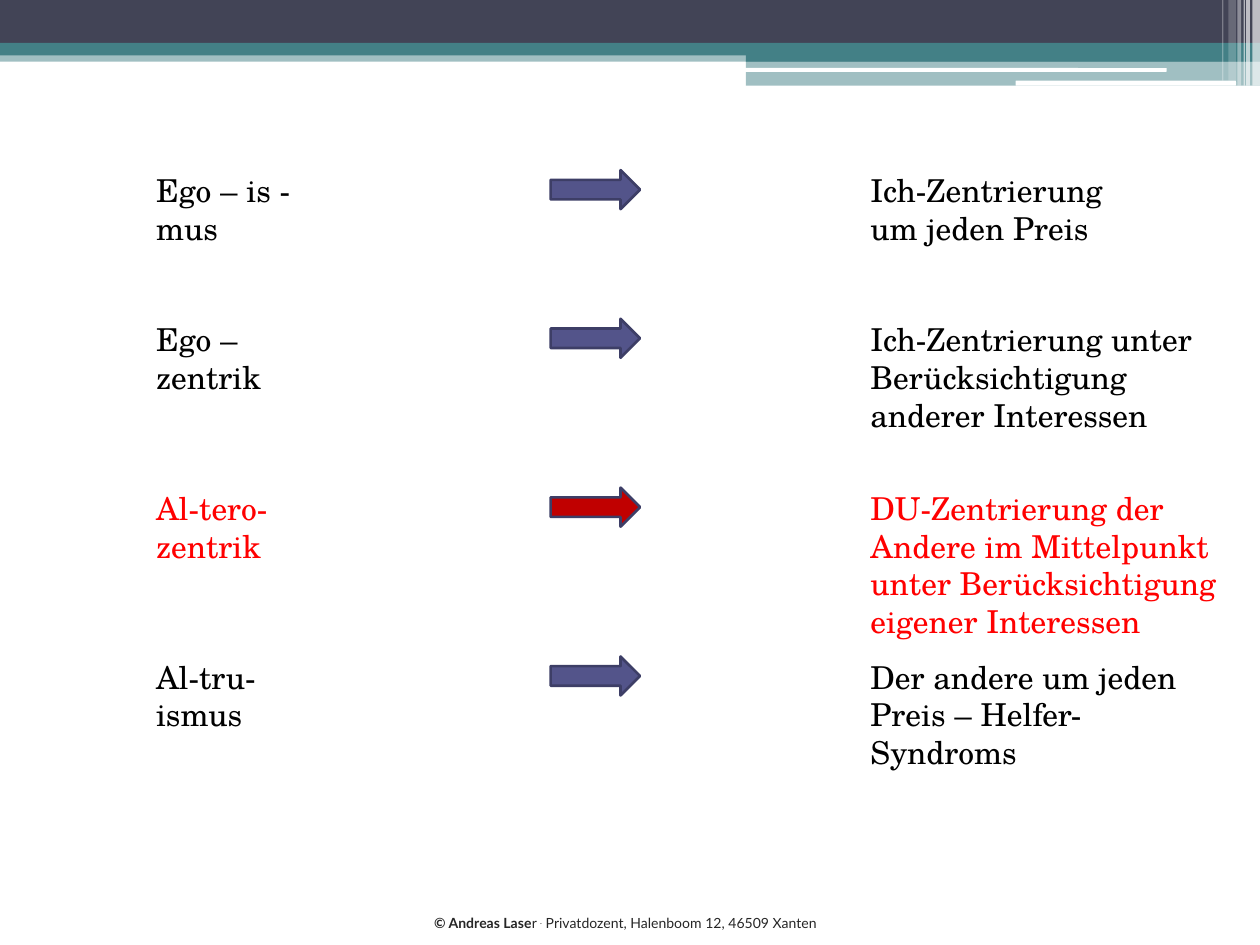
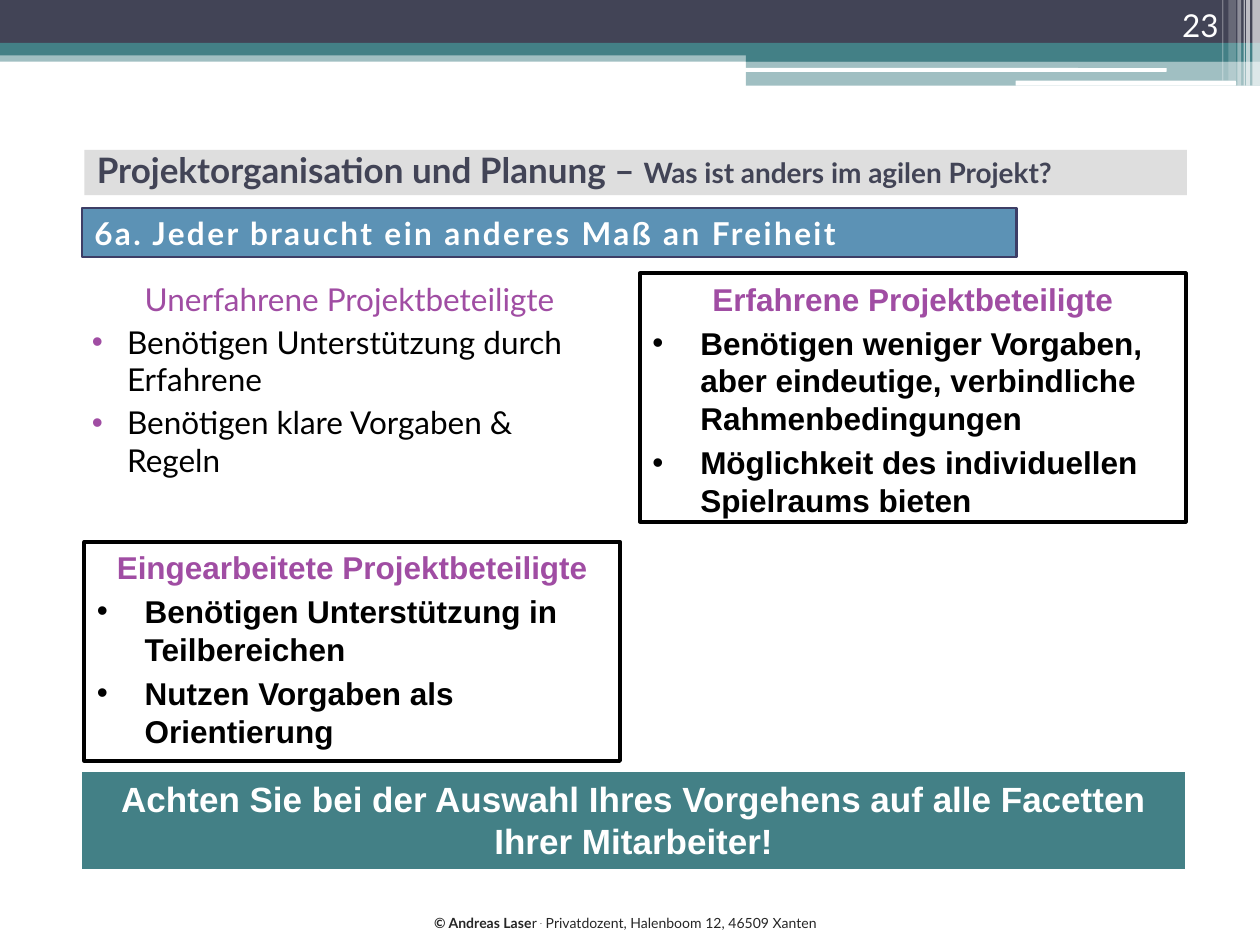
from lxml import etree
from pptx import Presentation
from pptx.dml.color import RGBColor
from pptx.enum.shapes import MSO_SHAPE
from pptx.enum.text import MSO_ANCHOR, PP_ALIGN
from pptx.oxml.ns import qn
from pptx.util import Inches, Pt

RECT = MSO_SHAPE.RECTANGLE
ROUND = MSO_SHAPE.ROUNDED_RECTANGLE
ARROW = MSO_SHAPE.RIGHT_ARROW
TOP, MIDDLE, BOTTOM = MSO_ANCHOR.TOP, MSO_ANCHOR.MIDDLE, MSO_ANCHOR.BOTTOM
LEFT, CENTER, RIGHT = PP_ALIGN.LEFT, PP_ALIGN.CENTER, PP_ALIGN.RIGHT

SANS, SERIF, BOLD_SANS = "Lato", "TeX Gyre Schola", "Arial"
DARK, TEAL, WHITE, BLACK = "424456", "438086", "FFFFFF", "000000"
INDIGO, EDGE, PURPLE = "53548A", "3D3E66", "A04DA3"
RED, CRIMSON, GRAY, BLUE = "FF0000", "C00000", "DEDEDE", "5C92B5"

# left, top, width, height, colour, opacity in percent
BANDS = [
    (0, 0.4, 10, 0.09, TEAL, 50),
    (0, 0, 10, 0.34, DARK, 100),
    (0, 0.34, 10, 0.1, TEAL, 100),
    (5.92, 0.39, 4.08, 0.1, TEAL, 100),
    (5.92, 0.48, 4.08, 0.2, TEAL, 50),
]
RULES = [(5.91, 0.54, 3.35, 0.03), (8.06, 0.64, 1.75, 0.04)]
# left, width, height, opacity in percent
STRIPES = [
    (9.94, 0.06, 0.68, 65),
    (9.89, 0.03, 0.68, 65),
    (9.87, 0.01, 0.68, 60),
    (9.82, 0.03, 0.68, 40),
    (9.75, 0.06, 0.64, 20),
    (9.7, 0.01, 0.64, 30),
]
# top, term, term width, meaning, meaning width, text colour, arrow colour
TERMS = [
    (1.31, "Ego – is - mus", 1.75, "Ich-Zentrierung um jeden Preis",
     2.44, BLACK, INDIGO),
    (2.49, "Ego – zentrik", 1.65,
     "Ich-Zentrierung unter Berücksichtigung anderer Interessen",
     2.76, BLACK, INDIGO),
    (3.83, "Al-tero-zentrik", 1.8,
     "DU-Zentrierung der Andere im Mittelpunkt unter Berücksichtigung "
     "eigener Interessen", 2.99, RED, CRIMSON),
    (5.17, "Al-tru-ismus", 1.6,
     "Der andere um jeden Preis – Helfer-Syndroms", 2.91, BLACK, INDIGO),
]


def color(code):
    return RGBColor.from_string(code)


def style(font, size, face, code, bold=False):
    font.size, font.name, font.bold = Pt(size), face, bold
    font.color.rgb = color(code)


def draw(slide, box, fill=None, edge=None, weight=1.5, kind=RECT, alpha=100):
    shape = slide.shapes.add_shape(kind, *map(Inches, box))
    shape.shadow.inherit = False
    if fill:
        shape.fill.solid()
        shape.fill.fore_color.rgb = color(fill)
        if alpha < 100:
            tint = shape.fill._xPr.find(qn("a:solidFill"))[0]
            etree.SubElement(tint, qn("a:alpha")).set("val", str(alpha * 1000))
    else:
        shape.fill.background()
    if edge:
        shape.line.color.rgb = color(edge)
        shape.line.width = Pt(weight)
    else:
        shape.line.fill.background()
    return shape


def set_up(shape, anchor=TOP, wrap=True):
    frame = shape.text_frame
    frame.word_wrap, frame.vertical_anchor = wrap, anchor
    return frame


def add_frame(slide, box, anchor=TOP, wrap=True):
    return set_up(slide.shapes.add_textbox(*map(Inches, box)), anchor, wrap)


def write(frame, text, size, face, code, bold=False, align=LEFT):
    para = frame.paragraphs[0]
    para.alignment = align
    run = para.add_run()
    run.text = text
    style(para.font, size, face, code, bold)
    return run


def add_bullet(para, margin, hang, code):
    props = para._p.get_or_add_pPr()
    props.set("marL", str(Inches(margin)))
    props.set("indent", str(-Inches(hang)))
    tint = etree.SubElement(props, qn("a:buClr"))
    etree.SubElement(tint, qn("a:srgbClr")).set("val", code)
    etree.SubElement(props, qn("a:buFont")).set("typeface", "Arial")
    etree.SubElement(props, qn("a:buChar")).set("char", "•")


def add_header(slide):
    for *box, code, alpha in BANDS:
        draw(slide, box, code, alpha=alpha)
    for box in RULES:
        draw(slide, box, WHITE, kind=ROUND)
    for left, width, height, alpha in STRIPES:
        draw(slide, (left, 0, width, height), WHITE, alpha=alpha)


def add_footer(slide, box):
    para = add_frame(slide, box, wrap=False).paragraphs[0]
    parts = [(" © Andreas Lase", True), ("r ", False), (".", False),
             (" Privatdozent, Halenboom 12, 46509 Xanten", False)]
    for text, bold in parts:
        run = para.add_run()
        run.text = text
        style(run.font, 8, SANS, "262626", bold)
        if text == ".":
            run._r.get_or_add_rPr().set("baseline", "30000")


def add_base(deck):
    slide = deck.slides.add_slide(deck.slide_layouts[6])
    add_header(slide)
    add_footer(slide, (3.32, 7.21, 3.37, 0.24))
    return slide


def add_term(slide, top, term, span, meaning, width, code, fill):
    write(add_frame(slide, (1.14, top, span, 0.4)), term, 18, SERIF, code)
    draw(slide, (4.37, top + 0.04, 0.71, 0.31), fill, EDGE, kind=ARROW)
    write(add_frame(slide, (6.81, top, width, 0.71)), meaning, 18, SERIF, code)


def add_title(slide, box):
    left, top, width, height = box
    draw(slide, box, GRAY)
    frame = add_frame(slide, (left, top - 0.43, width + 0.09, height + 0.81),
                      MIDDLE)
    write(frame, "Projektorganisation und Planung – ", 20, SANS, DARK, True)
    run = frame.paragraphs[0].add_run()
    run.text = "Was ist anders im agilen Projekt?"
    run.font.size = Pt(16)


def add_topic(slide, box):
    frame = set_up(draw(slide, box, BLUE, EDGE), MIDDLE)
    run = write(frame, "6a. Jeder braucht ein anderes Maß an Freiheit",
                18, SANS, WHITE, True)
    run._r.get_or_add_rPr().set("spc", "140")


def add_group(slide, box, head, points, framed=True):
    """Purple heading over bullets, in a black frame or free."""
    if framed:
        frame = set_up(draw(slide, box, edge=BLACK, weight=2.25))
        face, margin, hang, gap, dot = BOLD_SANS, 0.38, 0.38, 3.6, BLACK
    else:
        frame = add_frame(slide, box)
        face, margin, hang, gap, dot = SANS, 0.4, 0.28, 3, PURPLE
    write(frame, head, 18, face, PURPLE, framed, CENTER)
    props = frame.paragraphs[0]._p.get_or_add_pPr()
    props.set("marL", str(Inches(margin)))
    props.set("indent", str(-Inches(hang)))
    for point in points:
        para = frame.add_paragraph()
        para.text = point
        para.alignment = LEFT
        para.space_before = Pt(gap)
        add_bullet(para, margin, hang, dot)
        style(para.font, 18, face, BLACK, framed)


def add_advice(slide, box):
    frame = set_up(draw(slide, box, TEAL, WHITE, 0.75))
    write(frame, "Achten Sie bei der Auswahl Ihres Vorgehens auf alle "
          "Facetten Ihrer Mitarbeiter!", 20, BOLD_SANS, WHITE, True, CENTER)


def build_terms(deck):
    slide = add_base(deck)
    for term in TERMS:
        add_term(slide, *term)


def build_freedom(deck):
    slide = add_base(deck)
    add_title(slide, (0.67, 1.19, 8.75, 0.36))
    add_topic(slide, (0.65, 1.65, 7.42, 0.39))
    number = add_frame(slide, (8.94, 0, 0.83, 0.4), BOTTOM)
    write(number, "23", 18, SANS, WHITE, align=RIGHT)
    add_group(slide, (0.51, 2.17, 4.41, 1.97), "Unerfahrene Projektbeteiligte",
              ["Benötigen Unterstützung durch Erfahrene",
               "Benötigen klare Vorgaben & Regeln"], framed=False)
    add_group(slide, (0.67, 4.3, 4.25, 1.74),
              "Eingearbeitete Projektbeteiligte",
              ["Benötigen Unterstützung in Teilbereichen",
               "Nutzen Vorgaben als Orientierung"])
    add_group(slide, (5.08, 2.17, 4.33, 1.97), "Erfahrene Projektbeteiligte",
              ["Benötigen weniger Vorgaben, aber eindeutige, verbindliche "
               "Rahmenbedingungen",
               "Möglichkeit des individuellen Spielraums bieten"])
    add_advice(slide, (0.65, 6.12, 8.76, 0.78))


def main():
    deck = Presentation()
    deck.slide_width, deck.slide_height = Inches(10), Inches(7.5)
    build_terms(deck)
    build_freedom(deck)
    deck.save("out.pptx")


if __name__ == "__main__":
    main()
